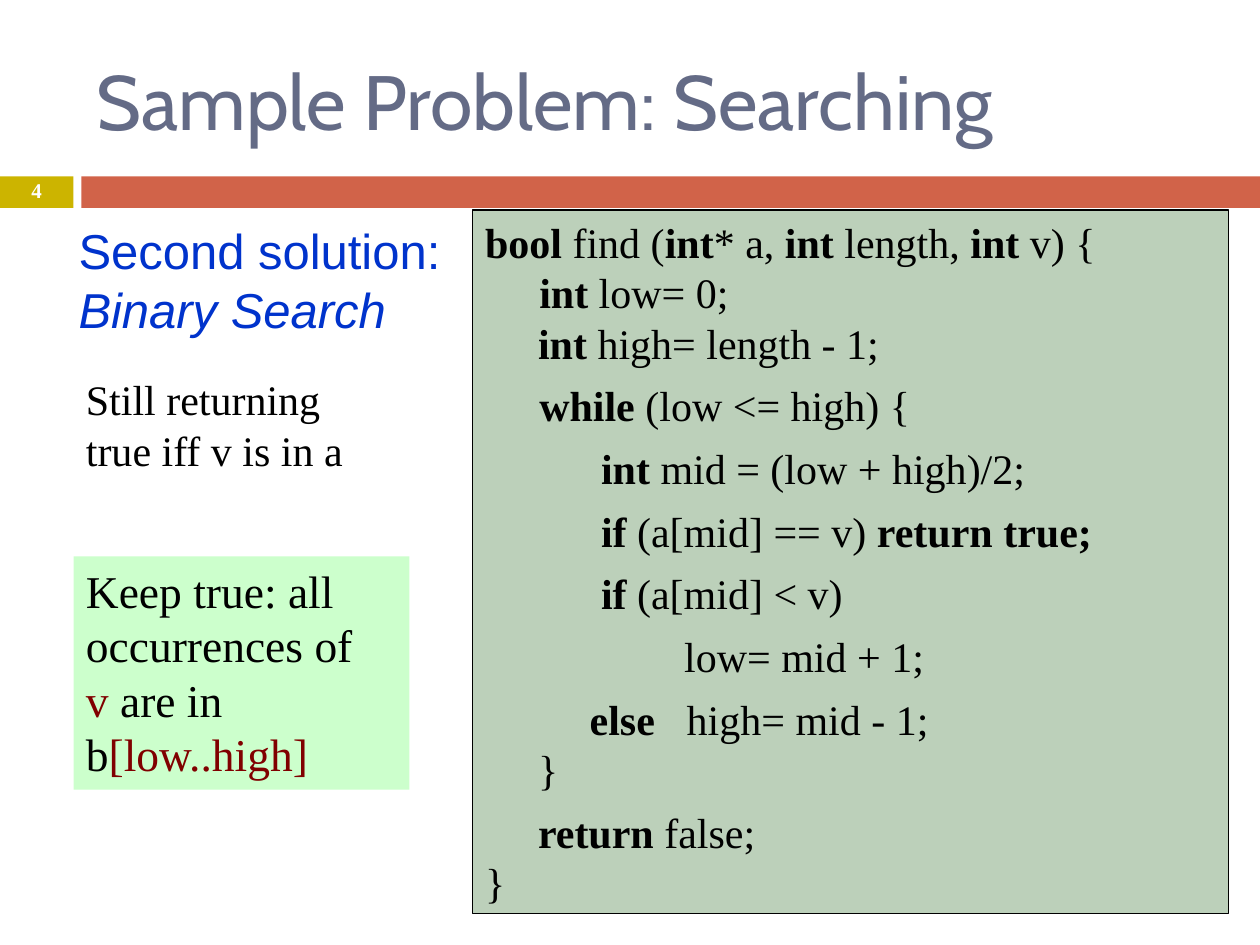
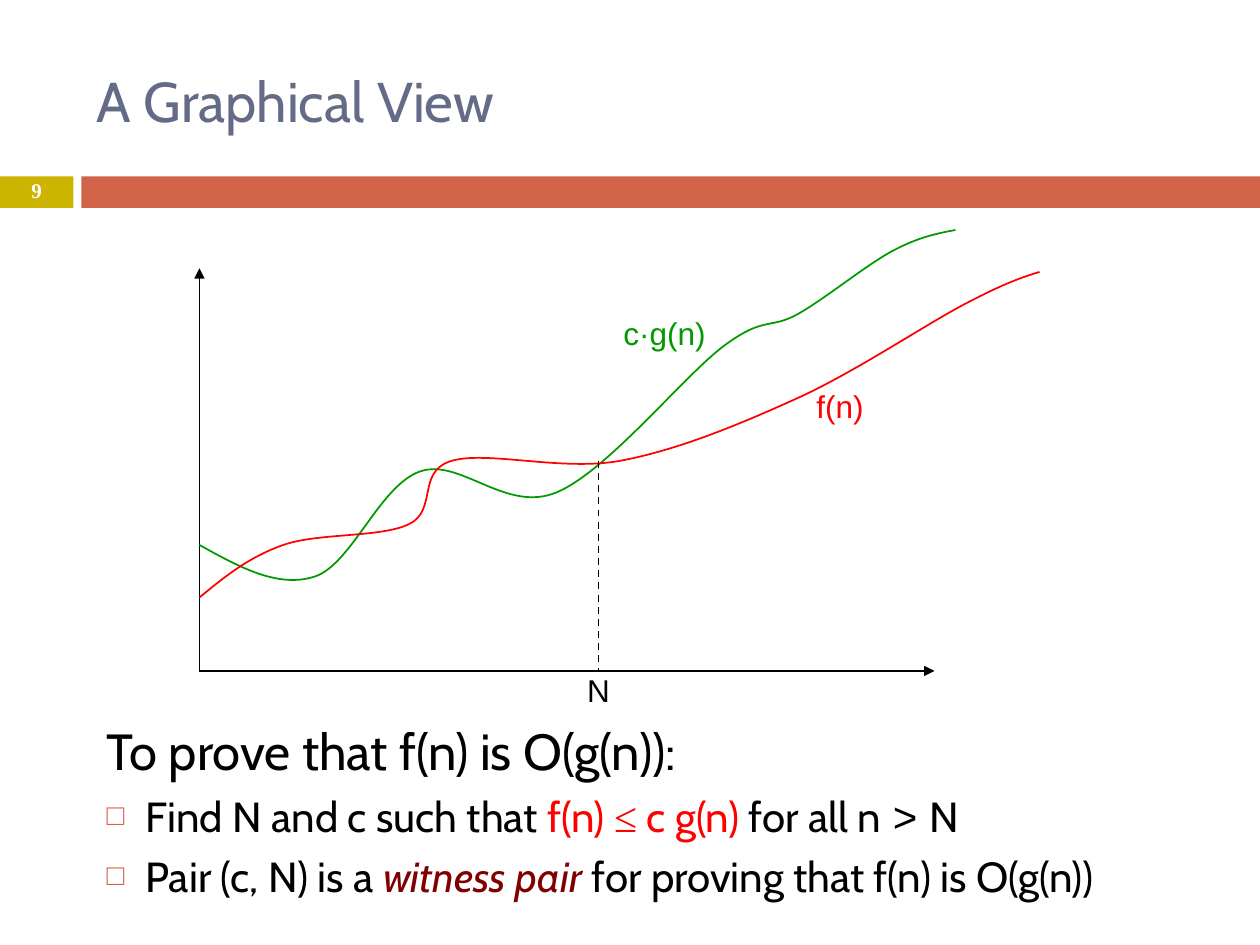
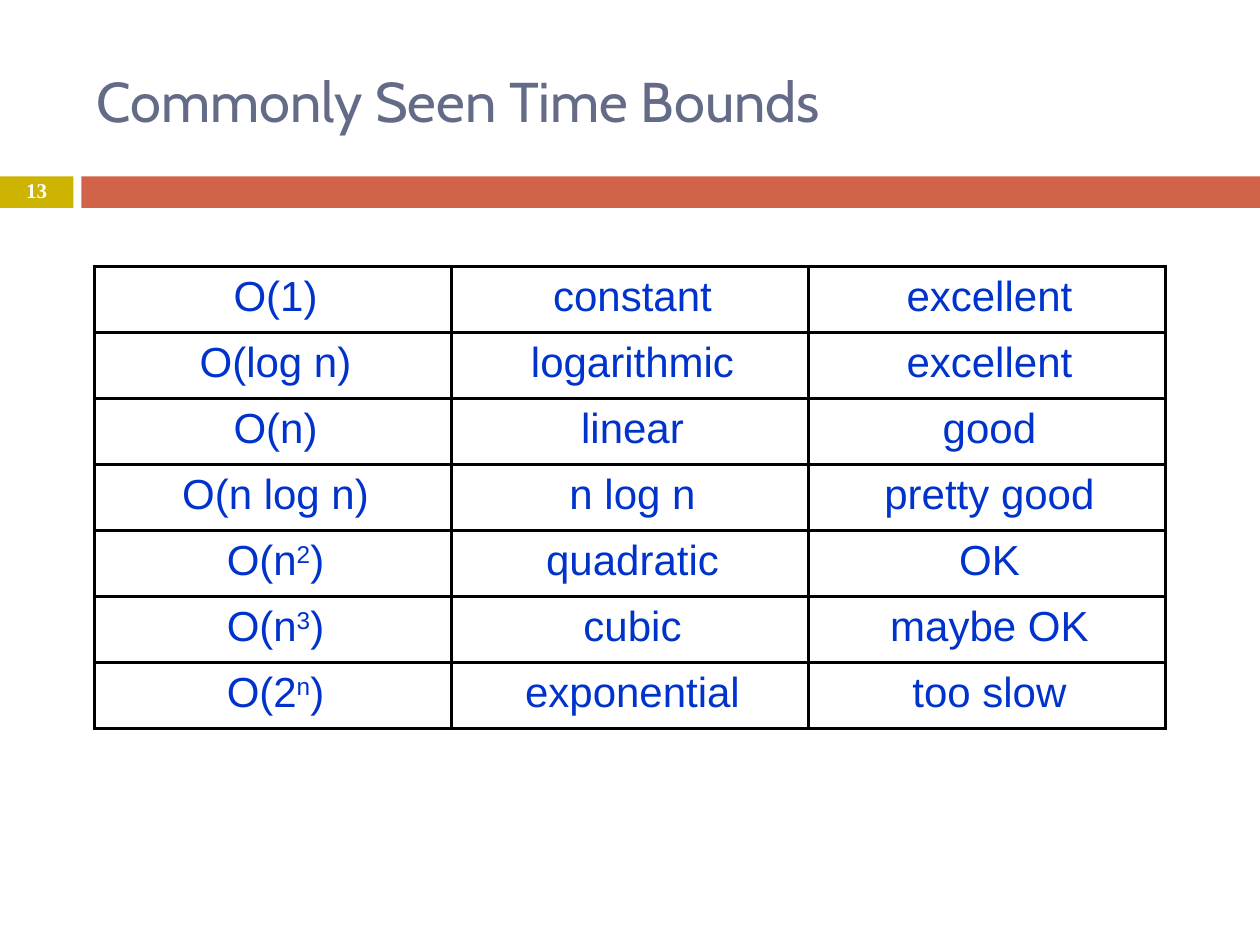
import itertools
from dataclasses import dataclass, field
from typing import Any, NamedTuple

import pptx
import pptx.dml.color
import pptx.enum.dml
import pptx.enum.shapes
import pptx.enum.text
import pptx.oxml
import pptx.oxml.ns
import pptx.util

RGBColor = pptx.dml.color.RGBColor
BLACK = RGBColor(0x00, 0x00, 0x00)
WHITE = RGBColor(0xFF, 0xFF, 0xFF)
SLATE = RGBColor(0x64, 0x6B, 0x86)
OLIVE = RGBColor(0xCC, 0xB4, 0x00)
BRICK = RGBColor(0xD1, 0x63, 0x49)
SAGE = RGBColor(0xBC, 0xD0, 0xBA)
MINT = RGBColor(0xCC, 0xFF, 0xCC)
BLUE = RGBColor(0x00, 0x33, 0xCC)
GREEN = RGBColor(0x00, 0x99, 0x00)
RED = RGBColor(0xFF, 0x00, 0x00)
MAROON = RGBColor(0x80, 0x00, 0x00)

CELLS_PER_INCH = 12  # the slide is a grid of 120 columns by 90 rows
COLUMNS, ROWS = 120, 90
CENTER = pptx.enum.text.PP_ALIGN.CENTER
MIDDLE = pptx.enum.text.MSO_ANCHOR.MIDDLE

TITLE_FONT = {"name": "Cabin", "size": 44, "color": SLATE}
NUMBER_FONT = {"name": "Times New Roman", "size": 12, "color": WHITE, "bold": True}
CODE_FONT = {"name": "Times New Roman", "size": 24, "color": BLACK}
INVARIANT_FONT = {**CODE_FONT, "size": 26}
HEADING_FONT = {"name": "Arial", "size": 28, "color": BLUE}
LABEL_FONT = {"name": "Arial", "size": 18}
PROOF_FONT = {"name": "Cabin", "size": 24, "color": BLACK}
TABLE_FONT = {"name": "Arial", "size": 24, "color": BLUE}

Format = dict[str, Any]
Spans = list[tuple[str, Format]]
Point = tuple[float, float]


class Frame(NamedTuple):
    """Left, top, width and height in grid cells."""
    left: float
    top: float
    width: float
    height: float


class Insets(NamedTuple):
    """Text margins in inches."""
    left: float = 0.1
    top: float = 0.05
    right: float = 0.1
    bottom: float = 0.05


PLACEHOLDER_INSETS = Insets(right=0.14)
LABEL_INSETS = Insets(0, 0, 0.04, 0)
TABLE_INSETS = Insets(0.06, 0.06, 0.06, 0.06)


@dataclass
class Line:
    """A paragraph; margin and indent are in inches, space before in points."""
    spans: Spans
    margin: float = 0
    indent: float = 0
    before: float = 0
    level: int = 0
    bullet: bool = False
    values: Format = field(default_factory=dict)


@dataclass
class Curve:
    label: str
    color: RGBColor
    label_frame: Frame
    knots: list[Point]


def grid(cells: float) -> pptx.util.Length:
    return pptx.util.Inches(cells / CELLS_PER_INCH)


def marked(text: str, accent: Format) -> Spans:
    """Split text at bars; every second part takes the accent."""
    parts = enumerate(text.split("|"))
    return [(part, accent if index % 2 else {}) for index, part in parts if part]


def plain(text: str) -> Spans:
    return [(text, {})]


def xml(tag: str, **attributes: str) -> Any:
    element = pptx.oxml.parse_xml(f"<a:{tag} {pptx.oxml.ns.nsdecls('a')}/>")
    for name, value in attributes.items():
        element.set(name, value)
    return element


def color_xml(tag: str, color: RGBColor) -> Any:
    element = xml(tag)
    element.append(xml("srgbClr", val=str(color)))
    return element


def format_run(run: Any, values: Format) -> None:
    for name, value in values.items():
        if name == "color":
            run.font.color.rgb = value
        elif name == "baseline":
            run._r.get_or_add_rPr().set("baseline", value)
        else:
            setattr(run.font, name, pptx.util.Pt(value) if name == "size" else value)


def write(text_frame: Any, lines: list[Line], font: Format) -> None:
    for index, line in enumerate(lines):
        paragraph = text_frame.add_paragraph() if index else text_frame.paragraphs[0]
        values = {"level": line.level, "space_before": pptx.util.Pt(line.before),
                  "space_after": pptx.util.Pt(0), **line.values}
        for name, value in values.items():
            setattr(paragraph, name, value)
        properties = paragraph._p.get_or_add_pPr()
        properties.set("marL", str(pptx.util.Inches(line.margin)))
        properties.set("indent", str(pptx.util.Inches(line.indent)))
        if line.bullet:
            properties.extend([color_xml("buClr", BRICK), xml("buSzPct", val="70000"),
                               xml("buChar", char="□")])
        else:
            properties.append(xml("buNone"))
        for text, accent in line.spans:
            run = paragraph.add_run()
            run.text = text
            format_run(run, {**font, **accent})


def set_insets(target: Any, insets: Insets) -> None:
    for side, inset in insets._asdict().items():
        setattr(target, f"margin_{side}", pptx.util.Inches(inset))


def fill_text(shape: Any, frame: Frame, lines: list[Line], font: Format,
              insets: Insets = Insets(),
              anchor: Any = pptx.enum.text.MSO_ANCHOR.TOP) -> None:
    """Place a text box or placeholder and write its lines."""
    for name, cells in frame._asdict().items():
        setattr(shape, name, grid(cells))
    text_frame = shape.text_frame
    settings = {"word_wrap": True, "vertical_anchor": anchor,
                "auto_size": pptx.enum.text.MSO_AUTO_SIZE.NONE}
    for name, value in settings.items():
        setattr(text_frame, name, value)
    set_insets(text_frame, insets)
    write(text_frame, lines, font)


def add_text(parent: Any, frame: Frame, lines: list[Line], font: Format,
             **options: Any) -> Any:
    shape = parent.shapes.add_textbox(*map(grid, frame))
    fill_text(shape, frame, lines, font, **options)
    return shape


def paint(shape: Any, color: RGBColor) -> None:
    shape.fill.solid()
    shape.fill.fore_color.rgb = color


def add_band(slide: Any, left: float, width: float, color: RGBColor) -> Any:
    band = slide.shapes.add_shape(pptx.enum.shapes.MSO_SHAPE.RECTANGLE,
                                  *map(grid, Frame(left, 16.8, width, 3)))
    band.shadow.inherit = False
    band.line.fill.background()
    paint(band, color)
    return band


def add_master_bands(presentation: Any) -> None:
    """Draw the bands on a slide, then move them behind the master's placeholders."""
    slide = presentation.slides[0]
    bands = [add_band(slide, 0, 7, OLIVE),
             add_band(slide, 7.75, COLUMNS - 7.75, BRICK)]
    tree = presentation.slide_master.shapes._spTree
    for position, band in enumerate(bands, start=2):
        tree.insert(position, band._element)


def add_slide(presentation: Any, layout: str, title: str, number: int,
              title_size: int) -> Any:
    slide = presentation.slides.add_slide(
        presentation.slide_layouts.get_by_name(layout))
    left = {"alignment": pptx.enum.text.PP_ALIGN.LEFT}
    fill_text(slide.shapes.title, Frame(8, 3, 107, 13),
              [Line(plain(title), values=left)], {**TITLE_FONT, "size": title_size},
              insets=PLACEHOLDER_INSETS, anchor=MIDDLE)
    centered = {"alignment": CENTER, "line_spacing": 0.8}
    add_text(slide, Frame(0, 16.7, 7, 3.2),
             [Line(plain(str(number)), values=centered)], NUMBER_FONT, anchor=MIDDLE)
    return slide


def add_line(parent: Any, start: Point, end: Point, arrow: bool = False) -> None:
    connector = parent.shapes.add_connector(
        pptx.enum.shapes.MSO_CONNECTOR.STRAIGHT, *map(grid, (*start, *end)))
    connector.line.color.rgb = BLACK
    connector.line.width = pptx.util.Pt(1)
    if arrow:
        connector.line._get_or_add_ln().append(xml("tailEnd", type="triangle"))
    else:
        connector.line.dash_style = pptx.enum.dml.MSO_LINE.DASH
    connector._element.spPr.append(xml("effectLst"))


def midpoint(first: Point, second: Point) -> Point:
    return (first[0] + second[0]) / 2, (first[1] + second[1]) / 2


def spline(knots: list[Point]) -> list[tuple[Point, Point, Point]]:
    """Two handles and an end for each stretch; tangents follow neighbouring knots."""
    handles: list[tuple[Point, Point]] = []
    for before, knot, after in zip(knots, knots[1:], knots[2:]):
        dx, dy = (after[0] - before[0]) / 6, (after[1] - before[1]) / 6
        handles.append(((knot[0] - dx, knot[1] - dy), (knot[0] + dx, knot[1] + dy)))
    first = midpoint(knots[0], handles[0][0])
    last = midpoint(knots[-1], handles[-1][1])
    outgoing = [first] + [pair[1] for pair in handles]
    incoming = [pair[0] for pair in handles] + [last]
    return list(zip(outgoing, incoming, knots[1:]))


def add_label(parent: Any, frame: Frame, text: str, color: RGBColor) -> None:
    line = Line(plain(text), margin=0.04, before=10.5, values={"alignment": CENTER})
    add_text(parent, frame, [line], {**LABEL_FONT, "color": color}, insets=LABEL_INSETS)


def add_curve(parent: Any, curve: Curve) -> None:
    """Build an outline through the knots and bend each straight stretch."""
    knots = [(grid(x), grid(y)) for x, y in curve.knots]
    builder = parent.shapes.build_freeform(*knots[0])
    builder.add_line_segments(knots[1:], close=False)
    shape = builder.convert_to_shape()
    straights = list(shape._element.iter(pptx.oxml.ns.qn("a:lnTo")))
    for straight, points in zip(straights, spline(curve.knots)):
        bend = xml("cubicBezTo")
        for x, y in points:
            bend.append(xml("pt", x=str(grid(x) - shape.left), y=str(grid(y) - shape.top)))
        straight.getparent().replace(straight, bend)
    shape.shadow.inherit = False
    shape.fill.background()
    shape.line.color.rgb = curve.color
    shape.line.width = pptx.util.Pt(1)


def build_searching(presentation: Any) -> None:
    slide = add_slide(presentation, "Title and Content",
                      "Sample Problem: Searching", 4, 44)
    block, inner, branch = 0.42, 0.92, 1.58
    source = [
        (0, 7, "|bool| find (|int|* a, |int| length, |int| v) {"),
        (block + 0.01, 0, "|int| low= 0;"),
        (block, 0, "|int| high= length - 1;"),
        (block + 0.01, 7, "|while| (low <= high) {"),
        (inner, 7, "|int| mid = (low + high)/2;"),
        (inner, 7, "|if| (a[mid] == v) |return true;|"),
        (inner, 7, "|if| (a[mid] < v)"),
        (branch, 7, "low= mid + 1;"),
        (branch + 0.02, 7, "|else|\thigh= mid - 1;"),
        (block, 0, "}"),
        (block, 7, "|return| false;"),
        (0, 0, "}"),
    ]
    code = [Line(marked(text, {"bold": True}), margin, before=before,
                 indent=-0.77 if "\t" in text else 0)
            for margin, before, text in source]
    body = slide.placeholders[1]
    fill_text(body, Frame(45, 20, 72, 67), code, CODE_FONT, insets=PLACEHOLDER_INSETS)
    paint(body, SAGE)
    body.line.color.rgb = BLACK
    body.line.width = pptx.util.Pt(0.75)

    heading = marked("Second solution: |Binary Search|", {"italic": True})
    add_text(slide, Frame(7, 21, 37, 26.2), [Line(heading, 0.04, before=4.5)],
             HEADING_FONT, insets=LABEL_INSETS)
    invariant = ["Keep true: all occurrences of", "|v| are in", "b|[low..high]|"]
    paint(add_text(slide, Frame(7, 53, 32, 22.2),
                   [Line(marked(text, {"color": MAROON})) for text in invariant],
                   INVARIANT_FONT), MINT)
    add_text(slide, Frame(7, 35, 31, 10.9),
             [Line(plain("Still returning true iff v is in a"))], CODE_FONT)


def build_graph(presentation: Any) -> None:
    slide = add_slide(presentation, "Title and Content", "A Graphical View", 9, 32)
    red = {"color": RED}
    proof = [
        Line([("To prove that f(n) is O(g(n)):", {"size": 29})], before=7),
        *(Line(spans, 0.31, -0.31, 5.5, level=1, bullet=True) for spans in (
            [("Find N and c such that ", {}), ("f(n) ", red),
             ("≤", {**red, "name": "Times New Roman"}), (" c g(n)", red),
             (" for all n", {}), (" > ", {"name": "Arial"}), ("N", {})],
            marked("Pair (c, N) is a |witness pair |for proving that f(n) is O(g(n))",
                   {"color": MAROON, "italic": True}))),
    ]
    fill_text(slide.placeholders[1], Frame(8.95, 67.95, 102, 18.2), proof, PROOF_FONT,
              insets=PLACEHOLDER_INSETS)

    graph = slide.shapes.add_group_shape()
    origin = (19, 63.9)
    crossing = 57
    add_line(graph, origin, (origin[0], 25.55), arrow=True)
    add_line(graph, origin, (89, origin[1]), arrow=True)
    curves = [
        Curve("c·g(n)", GREEN, Frame(57.3, 29.9, 12, 4.7),
              [(19, 51.9), (30, 54.9), (40, 44.9), (53, 46.9),
               (69, 32.9), (76, 29.9), (85, 23.9), (91, 21.9)]),
        Curve("f(n)", RED, Frame(74, 36.9, 12, 4.7),
              [(19, 56.9), (27, 51.9), (39, 49.9), (43, 43.9),
               (59, 43.9), (76, 37.9), (92, 28.9), (99, 25.9)]),
    ]
    for curve in curves:
        add_curve(graph, curve)
    add_line(graph, (crossing, 43.9), (crossing, origin[1]))
    for curve in curves:
        add_label(graph, curve.label_frame, curve.label, curve.color)
    add_label(graph, Frame(crossing - 5, origin[1], 10, 4.7), "N", BLACK)


def format_cell(cell: Any, text: str) -> None:
    set_insets(cell, TABLE_INSETS)
    write(cell.text_frame, [Line(marked(text, {"baseline": "30000"}), 0.04,
                                 values={"alignment": CENTER})], TABLE_FONT)
    cell.fill.background()
    properties = cell._tc.get_or_add_tcPr()
    for index, side in enumerate("LRTB"):
        border = xml(f"ln{side}", w=str(pptx.util.Pt(2)))
        border.append(color_xml("solidFill", BLACK))
        properties.insert(index, border)


def build_bounds(presentation: Any) -> None:
    slide = add_slide(presentation, "Title Only", "Commonly Seen Time Bounds", 13, 32)
    bounds = [
        ("O(1)", "constant", "excellent"),
        ("O(log n)", "logarithmic", "excellent"),
        ("O(n)", "linear", "good"),
        ("O(n log n)", "n log n", "pretty good"),
        ("O(n|2|)", "quadratic", "OK"),
        ("O(n|3|)", "cubic", "maybe OK"),
        ("O(2|n|)", "exponential", "too slow"),
    ]
    table = slide.shapes.add_table(len(bounds), len(bounds[0]),
                                   *map(grid, Frame(9, 25.37, 102, 44))).table
    table.first_row = table.horz_banding = False
    for cell, text in zip(table.iter_cells(), itertools.chain.from_iterable(bounds)):
        format_cell(cell, text)


def main() -> None:
    presentation = pptx.Presentation()
    presentation.slide_width = grid(COLUMNS)
    presentation.slide_height = grid(ROWS)
    for build in (build_searching, build_graph, build_bounds):
        build(presentation)
    add_master_bands(presentation)
    presentation.save("out.pptx")


if __name__ == "__main__":
    main()
